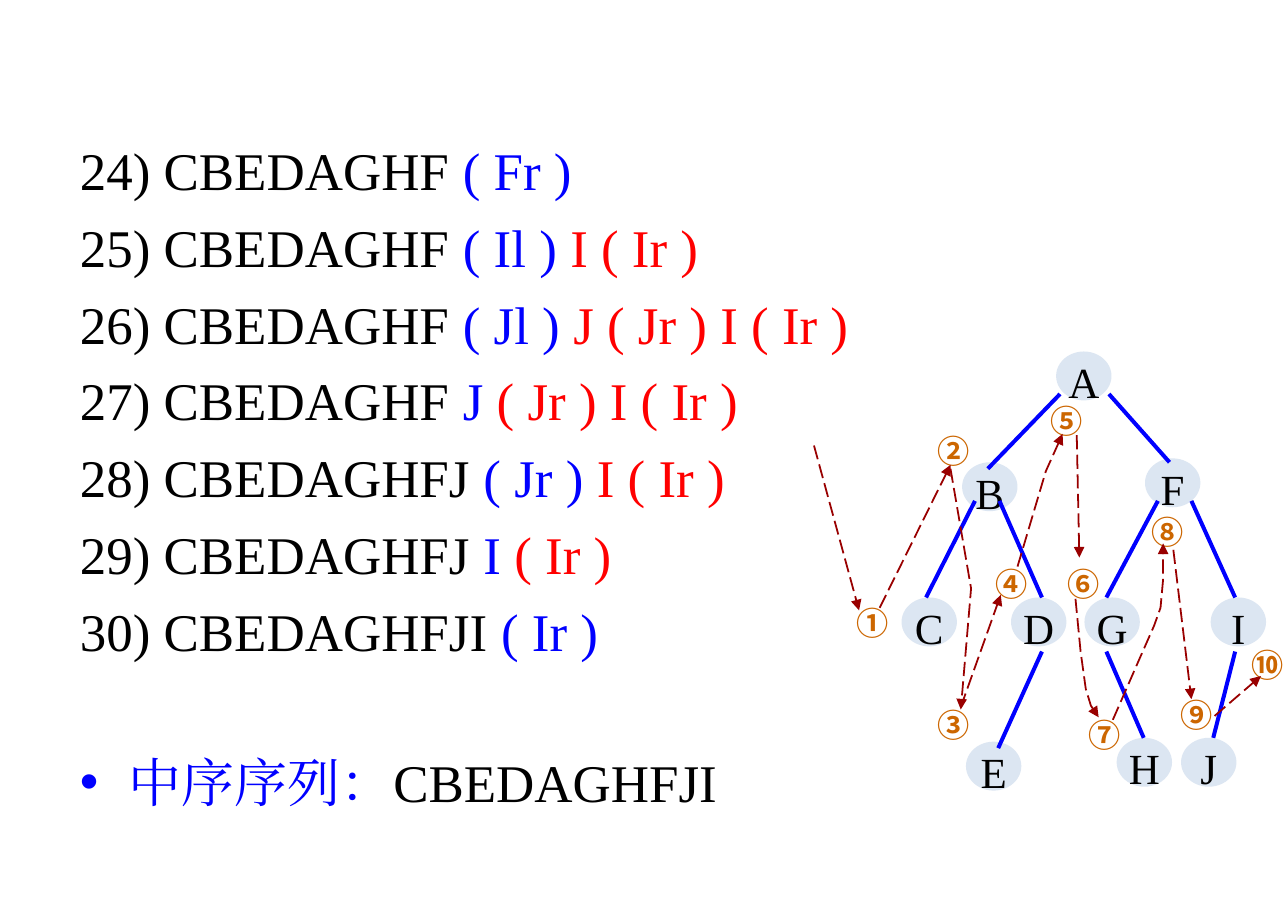
from lxml import etree
from pptx import Presentation
from pptx.dml.color import RGBColor
from pptx.enum.dml import MSO_LINE
from pptx.enum.shapes import MSO_CONNECTOR, MSO_SHAPE
from pptx.enum.text import MSO_ANCHOR, MSO_AUTO_SIZE, PP_ALIGN
from pptx.oxml.ns import qn
from pptx.util import Inches, Pt

OVAL = MSO_SHAPE.OVAL
STRAIGHT = MSO_CONNECTOR.STRAIGHT
LONG_DASH = MSO_LINE.LONG_DASH
MIDDLE = MSO_ANCHOR.MIDDLE
CENTER = PP_ALIGN.CENTER
FIXED = MSO_AUTO_SIZE.NONE

SERIF, SANS = "Times New Roman", "Noto Sans CJK SC"
BLACK, BLUE, RED = "000000", "0000FF", "FF0000"
NODE_FILL, ROUTE_COLOR, STEP_COLOR = "DCE6F2", "990000", "CC6600"
NODE_SIZE = (0.43, 0.38)
STEP_SIZE = (0.49, 0.4)
BODY_POINTS, ROW_GAP, RESULT_GAP = 29.6, 7.4, 48.9

ROWS = [
    [("24) CBEDAGHF ", BLACK), ("( Fr )", BLUE)],
    [("25) CBEDAGHF ", BLACK), ("( Il ) ", BLUE), ("I ( Ir )", RED)],
    [("26) CBEDAGHF ", BLACK), ("( Jl ) ", BLUE), ("J ( Jr ) I ( Ir )", RED)],
    [("27) CBEDAGHF ", BLACK), ("J", BLUE), (" ( Jr ) I ( Ir )", RED)],
    [("28) CBEDAGHFJ ", BLACK), ("( Jr )", BLUE), (" I ( Ir )", RED)],
    [("29) CBEDAGHFJ ", BLACK), ("I", BLUE), (" ( Ir )", RED)],
    [("30) CBEDAGHFJI ", BLACK), ("( Ir )", BLUE)],
    [("中序序列：", BLUE), ("CBEDAGHFJI", BLACK)],
]
NODES = {
    "A": (8.2, 2.73), "B": (7.47, 3.59), "C": (7, 4.64), "D": (7.85, 4.64),
    "E": (7.5, 5.76), "F": (8.89, 3.56), "G": (8.42, 4.64), "H": (8.67, 5.73),
    "I": (9.4, 4.64), "J": (9.17, 5.73),
}
EDGES = [
    ((8.23, 3.06), (7.67, 3.64)), ((8.61, 3.06), (9.08, 3.59)),
    ((7.57, 3.89), (7.19, 4.64)), ((7.76, 3.89), (8.09, 4.64)),
    ((8.99, 3.89), (8.59, 4.64)), ((9.25, 3.89), (9.59, 4.64)),
    ((8.09, 5.06), (7.75, 5.81)), ((8.59, 5.06), (8.88, 5.73)),
    ((9.59, 5.06), (9.42, 5.73)),
]
STEPS = {
    "①": (6.55, 4.64), "②": (7.18, 3.3), "③": (7.18, 5.43), "④": (7.63, 4.33),
    "⑤": (8.06, 3.07), "⑥": (8.19, 4.33), "⑦": (8.35, 5.51), "⑧": (8.84, 3.93),
    "⑨": (9.07, 5.35), "⑩": (9.62, 4.96),
}
ROUTES = [
    [(6.32, 3.46), (6.67, 4.74)],
    [(6.83, 4.72), (7.38, 3.61)],
    [(7.38, 3.64), (7.54, 4.57), (7.46, 5.51)],
    [(7.46, 5.49), (7.77, 4.62)],
    [(7.9, 4.4), (8.12, 3.66), (8.25, 3.37)],
    [(8.36, 3.38), (8.38, 4.33)],
    [(8.35, 4.65), (8.39, 5.06), (8.43, 5.35), (8.47, 5.48), (8.53, 5.57)],
    [(8.64, 5.59), (8.85, 5.11), (8.96, 4.86), (9.01, 4.72), (9.03, 4.5), (9.03, 4.22)],
    [(9.11, 4.27), (9.25, 5.43)],
    [(9.43, 5.56), (9.79, 5.25)],
]


def rgb(color):
    return RGBColor.from_string(color)


def inches(*values):
    return [Inches(value) for value in values]


def style_span(span, font, points, color, bold=False):
    span.font.name = font
    span.font.size = Pt(points)
    span.font.bold = bold
    span.font.color.rgb = rgb(color)
    latin = span.font._element.find(qn("a:latin"))
    east_asian = etree.Element(qn("a:ea"), typeface=font)
    latin.addnext(east_asian)


def add_line(page, start, end, color, width):
    line = page.shapes.add_connector(STRAIGHT, *inches(*start, *end))
    line.line.color.rgb = rgb(color)
    line.line.width = Pt(width)
    etree.SubElement(line._element.spPr, qn("a:effectLst"))
    return line


def add_route(page, points):
    if len(points) == 2:
        route = add_line(page, *points, ROUTE_COLOR, 1)
    else:
        builder = page.shapes.build_freeform(*inches(*points[0]))
        builder.add_line_segments([inches(*point) for point in points[1:]], close=False)
        route = builder.convert_to_shape()
        route.shadow.inherit = False
        route.fill.background()
        route.line.color.rgb = rgb(ROUTE_COLOR)
        route.line.width = Pt(1)
    route.line.dash_style = LONG_DASH
    outline = route._element.spPr.find(qn("a:ln"))
    etree.SubElement(outline, qn("a:tailEnd"), type="triangle")


def add_node(page, name, place):
    node = page.shapes.add_shape(OVAL, *inches(*place, *NODE_SIZE))
    node.shadow.inherit = False
    node.fill.solid()
    node.fill.fore_color.rgb = rgb(NODE_FILL)
    node.line.fill.background()
    frame = node.text_frame
    frame.text = name
    frame.word_wrap = False
    frame.vertical_anchor = MIDDLE
    para = frame.paragraphs[0]
    para.alignment = CENTER
    para.line_spacing = 1.2
    para.space_before = Pt(5)
    style_span(para.runs[0], SERIF, 24, BLACK)


def add_step(page, mark, place):
    box = page.shapes.add_textbox(*inches(*place, *STEP_SIZE))
    box.text_frame.word_wrap = True
    box.text_frame.text = mark
    style_span(box.text_frame.paragraphs[0].runs[0], SANS, 18, STEP_COLOR, True)


def fill_body(body):
    body.left, body.top, body.width, body.height = inches(0.52, 1.02, 9, 4.68)
    frame = body.text_frame
    frame.auto_size = FIXED
    for index, row in enumerate(ROWS):
        para = frame.paragraphs[0] if index == 0 else frame.add_paragraph()
        is_result = index == len(ROWS) - 1
        para.space_before = Pt(RESULT_GAP if is_result else ROW_GAP)
        if not is_result:
            etree.SubElement(para._p.get_or_add_pPr(), qn("a:buNone"))
        for text, color in row:
            span = para.add_run()
            span.text = text
            style_span(span, SERIF, BODY_POINTS, color)


def main():
    deck = Presentation()
    deck.slide_width, deck.slide_height = inches(10, 7.09)
    page = deck.slides.add_slide(deck.slide_layouts[1])
    title = page.shapes.title
    title._element.getparent().remove(title._element)
    fill_body(page.placeholders[1])
    for name, place in NODES.items():
        add_node(page, name, place)
    for start, end in EDGES:
        add_line(page, start, end, BLUE, 2.25)
    for mark, place in STEPS.items():
        add_step(page, mark, place)
    for points in ROUTES:
        add_route(page, points)
    deck.save("out.pptx")


if __name__ == "__main__":
    main()
